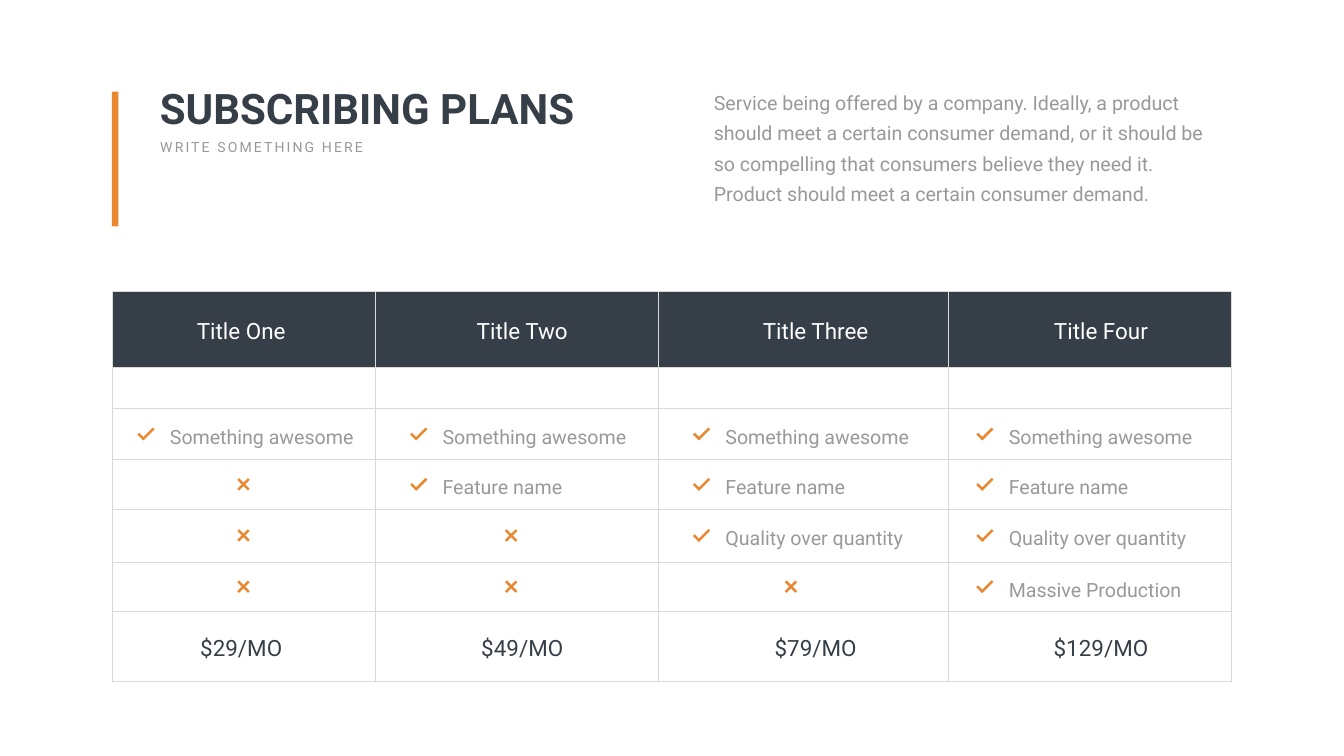
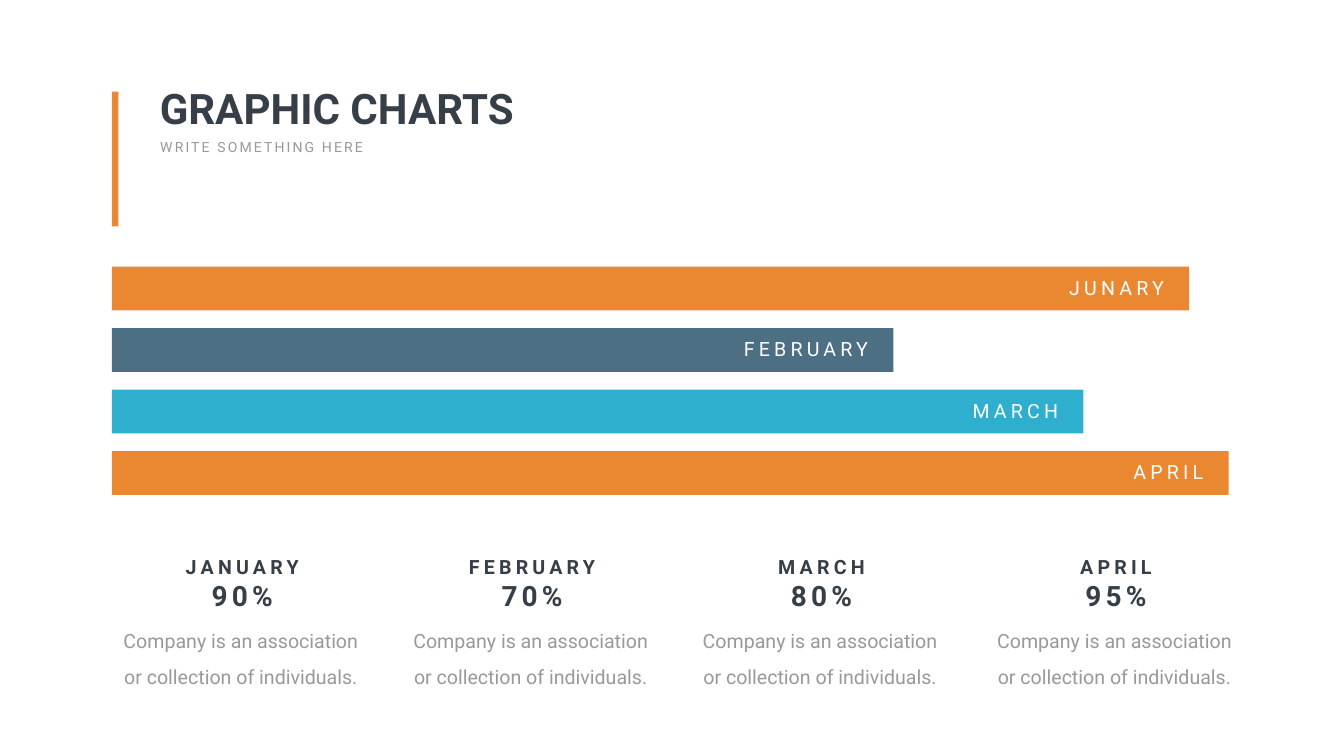
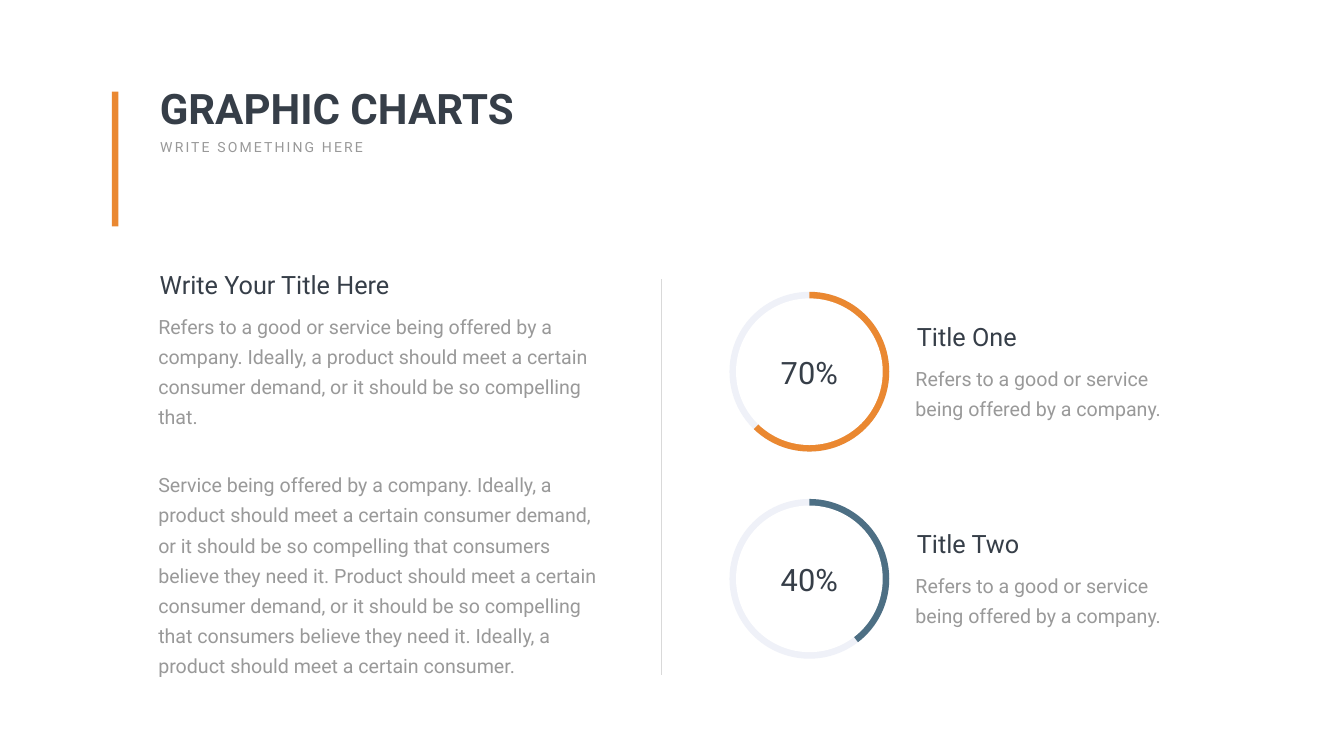
import dataclasses

import pptx
import pptx.dml.color
import pptx.enum.shapes
import pptx.enum.text
import pptx.oxml
import pptx.oxml.ns
import pptx.util

Inches = pptx.util.Inches
Shape = pptx.enum.shapes.MSO_SHAPE
Align = pptx.enum.text.PP_ALIGN
Anchor = pptx.enum.text.MSO_ANCHOR


@dataclasses.dataclass(frozen=True)
class Theme:
    font: str = "Roboto"
    dark: str = "363E48"
    grey: str = "999999"
    orange: str = "EA8831"
    slate: str = "4D6F84"
    cyan: str = "2FAFCE"
    rule: str = "D9D9D9"
    track: str = "EFF1F8"
    white: str = "FFFFFF"
    title: int = 60
    percent: int = 44
    figure: int = 40
    heading: int = 36
    cell: int = 32
    body: int = 28
    caption: int = 20
    rule_width: float = 0.5
    body_line: int = 43
    left: float = 2.22


THEME = Theme()


def rgb(colour):
    return pptx.dml.color.RGBColor.from_string(colour)


def format_paragraph(paragraph, size, colour, bold=False, align=Align.LEFT, spacing=0):
    paragraph.alignment = align
    for run in paragraph.runs:
        run.font.name = THEME.font
        run.font.size = pptx.util.Pt(size)
        run.font.bold = bold
        run.font.color.rgb = rgb(colour)
        if spacing:
            run._r.get_or_add_rPr().set("spc", str(spacing * 100))


def write(text_frame, text, size, colour, **style):
    text_frame.text = text
    for paragraph in text_frame.paragraphs:
        format_paragraph(paragraph, size, colour, **style)


def set_margins(target, left, top, right, bottom):
    target.margin_left, target.margin_top = Inches(left), Inches(top)
    target.margin_right, target.margin_bottom = Inches(right), Inches(bottom)


def add_text(slide, box, text, size, colour, wrap=True, **style):
    shape = slide.shapes.add_textbox(*map(Inches, box))
    shape.text_frame.word_wrap = wrap
    write(shape.text_frame, text, size, colour, **style)
    return shape.text_frame


def add_body(slide, box, text):
    text_frame = add_text(slide, box, text, THEME.body, THEME.grey)
    set_margins(text_frame, 0.24, 0.12, 0.24, 0.12)
    for index, paragraph in enumerate(text_frame.paragraphs):
        paragraph.line_spacing = pptx.util.Pt(THEME.body_line)
        if index:
            paragraph.space_before = pptx.util.Pt(THEME.body_line + 11)


def add_filled(slide, kind, box, colour):
    shape = slide.shapes.add_shape(kind, *map(Inches, box))
    shape.shadow.inherit = False
    shape.fill.solid()
    shape.fill.fore_color.rgb = rgb(colour)
    shape.line.fill.background()
    return shape


def add_titled_slide(presentation, title):
    """Add a slide with the accent bar, title and subtitle that all slides share."""
    slide = presentation.slides.add_slide(presentation.slide_layouts[5])
    placeholder = slide.shapes.title
    placeholder.left, placeholder.top = Inches(3.07), Inches(1.59)
    placeholder.width, placeholder.height = Inches(10.39), Inches(1.11)
    text_frame = placeholder.text_frame
    text_frame.word_wrap = True
    text_frame.auto_size = pptx.enum.text.MSO_AUTO_SIZE.NONE
    text_frame.vertical_anchor = Anchor.TOP
    set_margins(text_frame, 0.1, 0.05, 0.1, 0.05)
    write(text_frame, title, THEME.title, THEME.dark, bold=True)
    add_text(slide, (3.08, 2.7, 4.35, 0.44), "WRITE SOMETHING HERE",
             THEME.caption, THEME.grey, wrap=False, spacing=3)
    add_filled(slide, Shape.RECTANGLE, (THEME.left, 1.82, 0.13, 2.67), THEME.orange)
    return slide


# Subscribing plans

@dataclasses.dataclass(frozen=True)
class Plan:
    name: str
    price: str
    features: tuple
    width: float
    text_indent: float
    cross_centre: float
    title_shift: float


FEATURES = ("Something awesome", "Feature name", "Quality over quantity", "Massive Production")
PLANS = (
    Plan("Title One", "$29/MO", FEATURES[:1], 5.23, 1.15, 2.61, -0.05),
    Plan("Title Two", "$49/MO", FEATURES[:2], 5.6, 1.33, 2.69, 0.11),
    Plan("Title Three", "$79/MO", FEATURES[:3], 5.76, 1.34, 2.64, 0.25),
    Plan("Title Four", "$129/MO", FEATURES, 5.62, 1.2, 2.81, 0.22),
)
ROW_HEIGHTS = (1.52, 0.81, 1.02, 0.98, 1.05, 0.98, 1.39)
FIRST_FEATURE_ROW = 2


def add_stroke(slide, centre_x, centre_y, length, angle):
    box = (centre_x - length / 2, centre_y - 0.025, length, 0.05)
    add_filled(slide, Shape.RECTANGLE, box, THEME.orange).rotation = angle


def add_check(slide, centre_x, centre_y):
    add_stroke(slide, centre_x - 0.11, centre_y + 0.05, 0.16, 45)
    add_stroke(slide, centre_x + 0.03, centre_y, 0.31, 315)


def add_cross(slide, centre_x, centre_y):
    for angle in (45, 315):
        add_stroke(slide, centre_x, centre_y, 0.3, angle)


def format_cell(cell, fill=None):
    properties = cell._tc.get_or_add_tcPr()
    for side in ("lnL", "lnR", "lnT", "lnB"):
        properties.append(pptx.oxml.parse_xml(
            f'<a:{side} {pptx.oxml.ns.nsdecls("a")} w="{pptx.util.Pt(THEME.rule_width)}">'
            f'<a:solidFill><a:srgbClr val="{THEME.rule}"/></a:solidFill></a:{side}>'))
    if fill:
        cell.fill.solid()
        cell.fill.fore_color.rgb = rgb(fill)
    else:
        cell.fill.background()
    cell.vertical_anchor = Anchor.MIDDLE


def add_plan_table(slide, left, top):
    width, height = sum(plan.width for plan in PLANS), sum(ROW_HEIGHTS)
    table = slide.shapes.add_table(len(ROW_HEIGHTS), len(PLANS),
                                   *map(Inches, (left, top, width, height))).table
    table.first_row = table.horz_banding = False
    for row, row_height in zip(table.rows, ROW_HEIGHTS):
        row.height = Inches(row_height)
    last_row = len(ROW_HEIGHTS) - 1
    for column, plan in enumerate(PLANS):
        table.columns[column].width = Inches(plan.width)
        for row in range(len(ROW_HEIGHTS)):
            format_cell(table.cell(row, column), None if row else THEME.dark)
        for row, text, colour in ((0, plan.name, THEME.white),
                                  (last_row, plan.price, THEME.dark)):
            cell = table.cell(row, column)
            set_margins(cell, 0.5 + plan.title_shift, 0.1, 0.5 - plan.title_shift, 0)
            write(cell.text_frame, text, THEME.cell, colour, align=Align.CENTER)
        for row, feature in enumerate(plan.features, FIRST_FEATURE_ROW):
            cell = table.cell(row, column)
            set_margins(cell, plan.text_indent, 0.15, 0, 0)
            write(cell.text_frame, feature, THEME.body, THEME.grey)


def add_plan_marks(slide, left, top):
    """Put a check beside each feature a plan has and a cross where it has none."""
    for plan in PLANS:
        for index in range(len(FEATURES)):
            row = FIRST_FEATURE_ROW + index
            centre_y = top + sum(ROW_HEIGHTS[:row]) + ROW_HEIGHTS[row] / 2
            if index < len(plan.features):
                add_check(slide, left + plan.text_indent - 0.46, centre_y)
            else:
                add_cross(slide, left + plan.cross_centre, centre_y)
        left += plan.width


def build_plans(presentation):
    slide = add_titled_slide(presentation, "SUBSCRIBING PLANS")
    add_body(slide, (13.92, 1.56, 10.51, 2.6),
             "Service being offered by a company. Ideally, a product should meet a certain "
             "consumer demand, or it should be so compelling that consumers believe they need "
             "it. Product should meet a certain consumer demand.")
    add_plan_table(slide, THEME.left, 5.77)
    add_plan_marks(slide, THEME.left, 5.77)


# Monthly bars

BARS = (
    ("JUNARY", 21.37, THEME.orange),
    ("FEBRUARY", 15.5, THEME.slate),
    ("MARCH", 19.27, THEME.cyan),
    ("APRIL", 22.15, THEME.orange),
)
MONTHS = (  # name, share, column left, heading width
    ("JANUARY", "90%", 2.22, 2.57),
    ("FEBRUARY", "70%", 7.97, 2.87),
    ("MARCH", "80%", 13.71, 2),
    ("APRIL", "95%", 19.55, 1.72),
)


def add_bars(slide, left, top, height=0.87, pitch=1.22):
    for index, (label, width, colour) in enumerate(BARS):
        box = (left, top + index * pitch, width, height)
        bar = add_filled(slide, Shape.RECTANGLE, box, colour)
        set_margins(bar.text_frame, 0.1, 0, 0.5, 0.04)
        bar.text_frame.vertical_anchor = Anchor.MIDDLE
        write(bar.text_frame, label, THEME.body, THEME.white, align=Align.RIGHT, spacing=6)


def add_month(slide, left, top, name, share, heading_width):
    width = 5.11
    heading_left = left + (width - heading_width) / 2 + 0.03
    heading = add_text(slide, (heading_left, top, heading_width, 1.25), f"{name}\n{share}",
                       THEME.body, THEME.dark, wrap=False,
                       bold=True, align=Align.CENTER, spacing=6)
    heading.paragraphs[1].runs[0].font.size = pptx.util.Pt(THEME.figure)
    note = add_text(slide, (left, top + 1.24, width, 1.43),
                    "Company is an association or collection of individuals.",
                    THEME.body, THEME.grey, align=Align.CENTER)
    note.paragraphs[0].line_spacing = 1.5


def build_bars(presentation):
    slide = add_titled_slide(presentation, "GRAPHIC CHARTS")
    add_bars(slide, THEME.left, 5.29)
    for name, share, left, heading_width in MONTHS:
        add_month(slide, left, 10.96, name, share, heading_width)


# Progress rings

def add_article(slide, left, top, width, height, heading, text):
    """Add a heading with body text below it."""
    add_body(slide, (left, top + 0.7, width, height - 0.7), text)
    add_text(slide, (left + 0.17, top, 5.67, 0.71), heading, THEME.heading, THEME.dark)


def add_ring(slide, left, top, label, end_angle, colour):
    size, inset = 3.17, 0.13
    add_filled(slide, Shape.OVAL, (left, top, size, size), THEME.track)
    arc = add_filled(slide, Shape.PIE, (left, top, size, size), colour)
    for index, angle in enumerate((270, end_angle)):
        arc.adjustments[index] = angle * 0.6  # 60000 units per degree, scaled by 100000
    hole_size = size - 2 * inset
    hole = add_filled(slide, Shape.OVAL, (left + inset, top + inset, hole_size, hole_size),
                      THEME.white)
    set_margins(hole.text_frame, 0, 0, 0, 0)
    hole.text_frame.vertical_anchor = Anchor.MIDDLE
    write(hole.text_frame, label, THEME.percent, THEME.dark, align=Align.CENTER)


def add_divider(slide, x, top, bottom):
    line = slide.shapes.add_connector(pptx.enum.shapes.MSO_CONNECTOR.STRAIGHT,
                                      *map(Inches, (x, top, x, bottom)))
    line.line.color.rgb = rgb(THEME.rule)
    line.line.width = pptx.util.Pt(THEME.rule_width)
    line._element.spPr.append(
        pptx.oxml.parse_xml(f'<a:effectLst {pptx.oxml.ns.nsdecls("a")}/>'))


def build_rings(presentation):
    slide = add_titled_slide(presentation, "GRAPHIC CHARTS")
    add_divider(slide, 13.11, 5.54, 13.4)
    add_article(slide, 2.9, 5.3, 9.19, 8.32, "Write Your Title Here",
                "Refers to a good or service being offered by a company. Ideally, a product "
                "should meet a certain consumer demand, or it should be so compelling that.\n"
                "Service being offered by a company. Ideally, a product should meet a certain "
                "consumer demand, or it should be so compelling that consumers believe they "
                "need it. Product should meet a certain consumer demand, or it should be so "
                "compelling that consumers believe they need it. Ideally, a product should "
                "meet a certain consumer.")
    rings = (("Title One", "70%", 134, THEME.orange), ("Title Two", "40%", 52.5, THEME.slate))
    for index, (heading, label, end_angle, colour) in enumerate(rings):
        top = 5.79 + index * 4.11
        add_ring(slide, 14.47, top, label, end_angle, colour)
        add_article(slide, 17.92, top + 0.53, 5.83, 2.09, heading,
                    "Refers to a good or service being offered by a company.")


def main():
    presentation = pptx.Presentation()
    presentation.slide_width, presentation.slide_height = Inches(26.66), Inches(15)
    build_plans(presentation)
    build_bars(presentation)
    build_rings(presentation)
    presentation.save("out.pptx")


if __name__ == "__main__":
    main()
